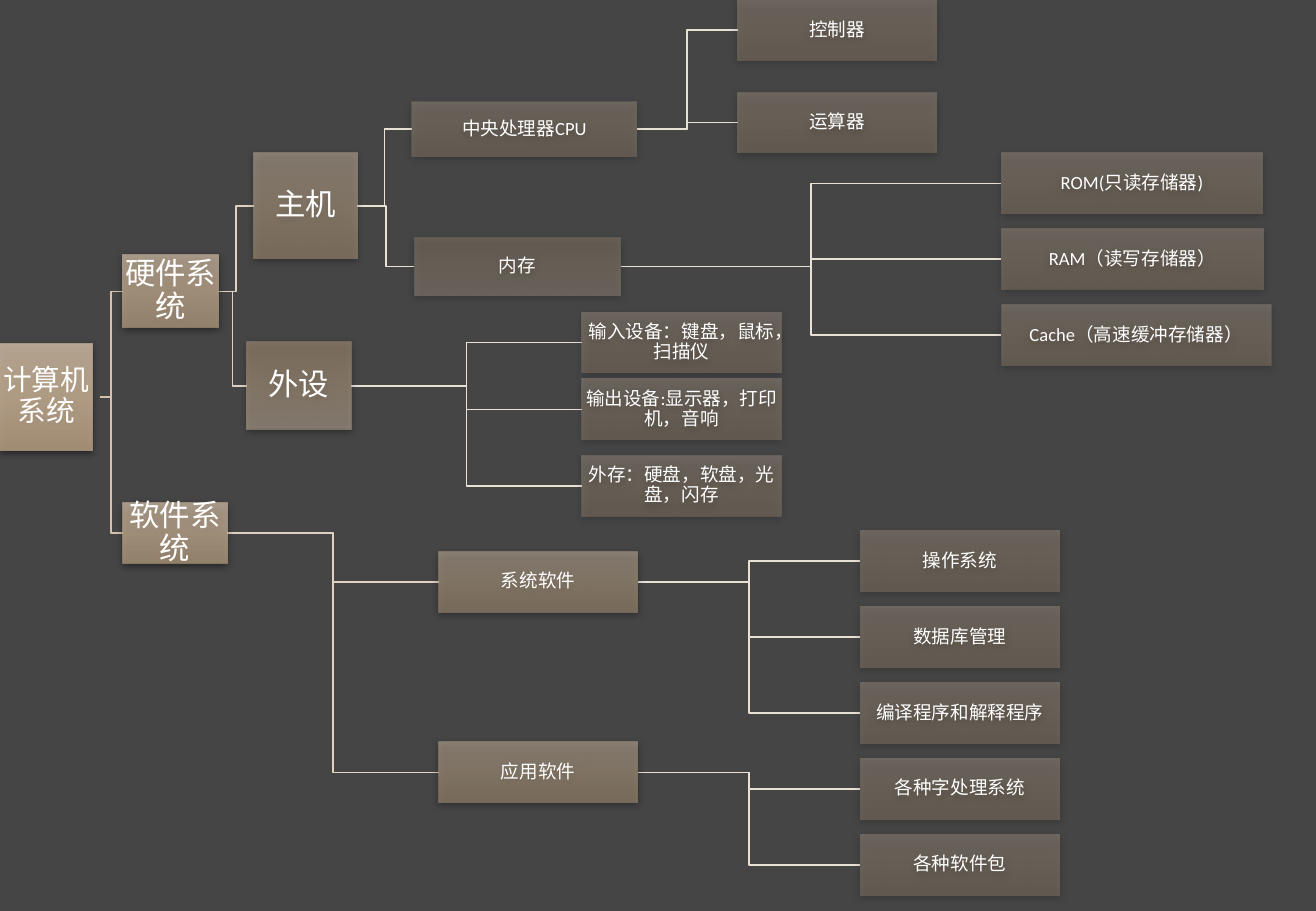
from lxml import etree
from pptx import Presentation
from pptx.dml.color import RGBColor
from pptx.enum.shapes import MSO_SHAPE
from pptx.enum.text import MSO_ANCHOR, PP_ALIGN
from pptx.oxml.ns import qn
from pptx.util import Inches, Pt

RECT = MSO_SHAPE.RECTANGLE
MIDDLE = MSO_ANCHOR.MIDDLE
CENTER = PP_ALIGN.CENTER
BACKGROUND = RGBColor(0x45, 0x45, 0x45)
WHITE = RGBColor(0xFF, 0xFF, 0xFF)
LINES = [RGBColor(0xD6, 0xC2, 0xAC), RGBColor(0xE0, 0xD2, 0xC2), RGBColor(0xE9, 0xE0, 0xD6)]
STOPS = [(0, RGBColor(0xD7, 0xC2, 0xAB)), (50, RGBColor(0xD3, 0xBA, 0x9C)),
         (100, RGBColor(0xBF, 0xA6, 0x88))]
OPACITY = [80, 70, 50, 30, 30]
FLIPPED = ["内存", "外设"]

BOX_W, BOX_H = 1.64, 0.5
PITCH = 2.5 / 4
ROOT_GAP = 0.06
MEMORY_X, MEMORY_Y = 8.24, 1.26
DEVICE_X = 4.79
KIND_X = 3.61
PROGRAM_X, PROGRAM_Y = 7.08, 4.37

NODES = [
    ("计算机系统", None, 0, 2.83, 0.76, 0.88, 17),
    ("硬件系统", "计算机系统", 1.01, 2.1, 0.79, 0.6, 18),
    ("主机", "硬件系统", 2.09, 1.26, 0.85, 0.87, 18),
    ("中央处理器CPU", "主机", 3.39, 0.84, 1.85, 0.45, 11),
    ("控制器", "中央处理器CPU", 6.07, 0, BOX_W, BOX_H, 11),
    ("运算器", "中央处理器CPU", 6.07, 0.76, BOX_W, BOX_H, 11),
    ("内存", "主机", 3.41, 1.96, 1.7, 0.47, 11),
    ("外设", "硬件系统", 2.03, 2.81, 0.86, 0.73, 18),
    ("输入设备：键盘，鼠标，扫描仪", "外设", DEVICE_X, 2.57, BOX_W, BOX_H, 11),
    ("输出设备:显示器，打印机，音响", "外设", DEVICE_X, 3.12, BOX_W, BOX_H, 11),
    ("外存：硬盘，软盘，光盘，闪存", "外设", DEVICE_X, 3.75, BOX_W, BOX_H, 11),
    ("软件系统", "计算机系统", 1.01, 4.14, 0.86, BOX_H, 18),
    ("系统软件", "软件系统", KIND_X, 4.54, BOX_W, BOX_H, 11),
    ("应用软件", "软件系统", KIND_X, 6.11, BOX_W, BOX_H, 11),
]
MEMORIES = [("ROM(只读存储器)", 2.15), ("RAM（读写存储器）", 2.16), ("Cache（高速缓冲存储器）", 2.22)]
for row, (text, width) in enumerate(MEMORIES):
    NODES.append((text, "内存", MEMORY_X, MEMORY_Y + row * PITCH, width, BOX_H, 11))
PROGRAMS = [("操作系统", "系统软件"), ("数据库管理", "系统软件"), ("编译程序和解释程序", "系统软件"),
            ("各种字处理系统", "应用软件"), ("各种软件包", "应用软件")]
for row, (text, parent) in enumerate(PROGRAMS):
    NODES.append((text, parent, PROGRAM_X, PROGRAM_Y + row * PITCH, BOX_W, BOX_H, 11))


def add_color(parent, color, alpha):
    clr = etree.SubElement(parent, qn("a:srgbClr"), val=str(color))
    etree.SubElement(clr, qn("a:alpha"), val=str(alpha * 1000))


prs = Presentation()
prs.slide_width, prs.slide_height = Inches(10.83), Inches(7.5)
s = prs.slides.add_slide(prs.slide_layouts[6])
s.background.fill.solid()
s.background.fill.fore_color.rgb = BACKGROUND

depth, exits = {}, {}
for text, parent, x, y, w, h, size in NODES:
    depth[text] = depth[parent] + 1 if parent else 0
    exits[text] = (x + w + (0 if parent else ROOT_GAP), y + h / 2)
    if parent is None:
        continue
    x0, y0 = exits[parent]
    y1 = y + h / 2
    bend = (x0 + x) / 2
    fb = s.shapes.build_freeform(Inches(x0), Inches(y0))
    fb.add_line_segments([(Inches(px), Inches(py)) for px, py in
                          [(bend, y0), (bend, y1), (x, y1)]], close=False)
    elbow = fb.convert_to_shape()
    elbow.shadow.inherit = False
    elbow.fill.background()
    elbow.line.color.rgb = LINES[min(depth[parent], 2)]
    elbow.line.width = Pt(1)

for text, parent, x, y, w, h, size in NODES:
    sp = s.shapes.add_shape(RECT, Inches(x), Inches(y), Inches(w), Inches(h))
    sp.fill.gradient()
    sp.fill.gradient_angle = 90 if text in FLIPPED else 270
    stops = sp._element.spPr.find(qn("a:gradFill")).find(qn("a:gsLst"))
    for old in list(stops):
        stops.remove(old)
    for pos, color in STOPS:
        stop = etree.SubElement(stops, qn("a:gs"), pos=str(pos * 1000))
        add_color(stop, color, OPACITY[depth[text]])
    sp.line.fill.background()
    sp.shadow.inherit = False
    effects = sp._element.spPr.find(qn("a:effectLst"))
    shadow = etree.SubElement(effects, qn("a:outerShdw"), blurRad=str(Pt(4.5)),
                              dist=str(Pt(1.5)), dir="5400000", rotWithShape="0")
    add_color(shadow, RGBColor(0, 0, 0), 63)
    tf = sp.text_frame
    tf.word_wrap = True
    tf.vertical_anchor = MIDDLE
    tf.margin_left = tf.margin_right = tf.margin_top = tf.margin_bottom = Inches(0.01)
    p = tf.paragraphs[0]
    p.text = text
    p.alignment = CENTER
    p.line_spacing = 0.9
    p.font.name = "Calibri"
    p.font.size = Pt(size)
    p.font.color.rgb = WHITE

prs.save("out.pptx")
